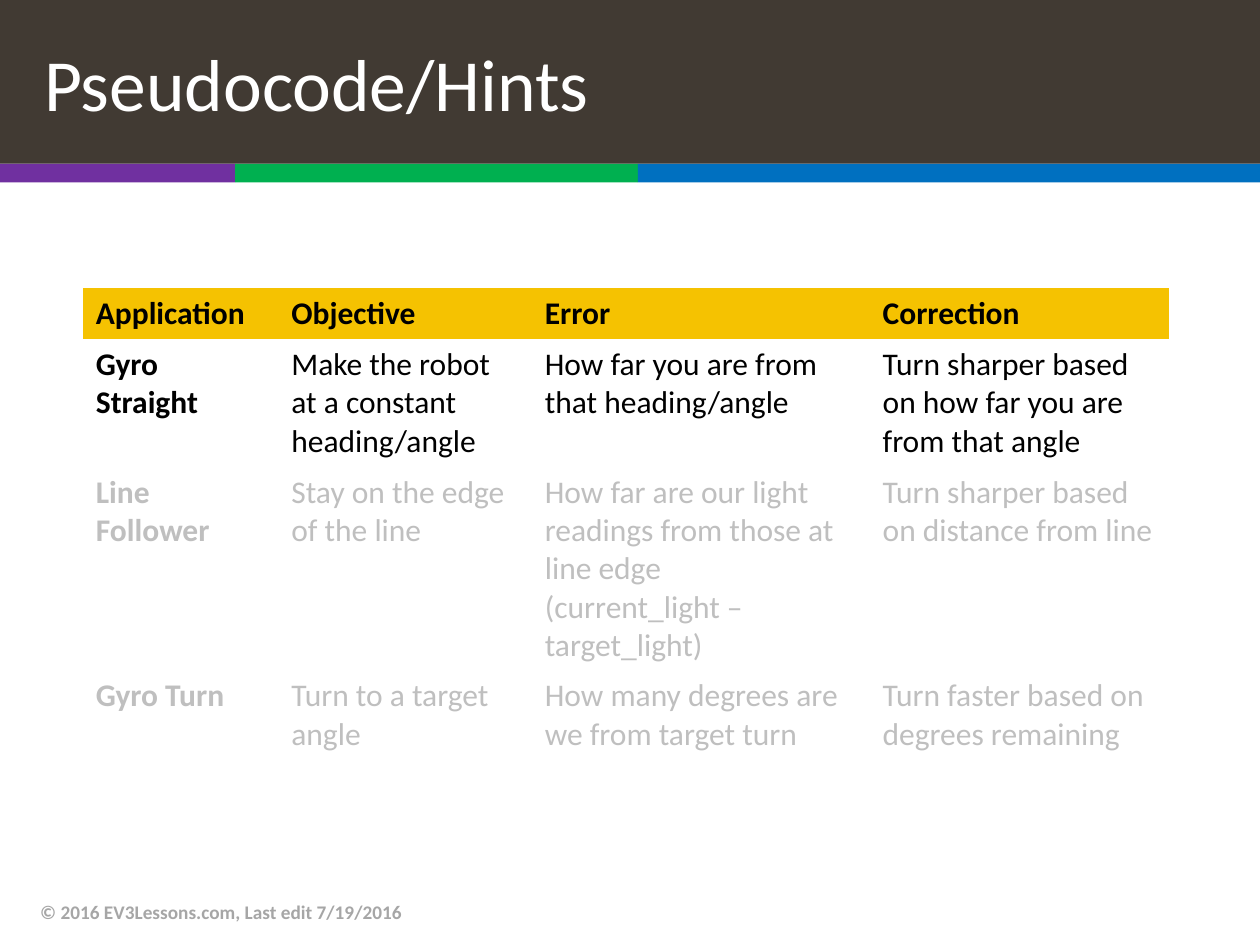
from pptx import Presentation
from pptx.dml.color import RGBColor
from pptx.enum.shapes import MSO_SHAPE
from pptx.enum.text import MSO_ANCHOR, PP_ALIGN
from pptx.util import Cm, Pt

RECT = MSO_SHAPE.RECTANGLE
MIDDLE = MSO_ANCHOR.MIDDLE
LEFT = PP_ALIGN.LEFT
FONT = "Calibri"
PLAIN = "{2D5ABB26-0587-4C30-8999-92F81FD0307C}"

COLORS = {
    "title": "413A33",
    "purple": "7030A0",
    "green": "00B050",
    "blue": "0070C0",
    "head": "F5C201",
    "white": "FFFFFF",
    "black": "000000",
    "faded": "BFBFBF",
    "footer": "A6A6A6",
}

ROWS = [
    ("Application", "Objective", "Error", "Correction"),
    ("Gyro Straight", "Make the robot at a constant heading/angle",
     "How far you are from that heading/angle",
     "Turn sharper based on how far you are from that angle"),
    ("Line Follower", "Stay on the edge of the line",
     "How far are our light readings from those at line edge"
     "\v(current_light – target_light)",
     "Turn sharper based on distance from line"),
    ("Gyro Turn", "Turn to a target angle",
     "How many degrees are we from target turn",
     "Turn faster based on degrees remaining"),
]


def color(name):
    return RGBColor.from_string(COLORS[name])


def style(frame, size, tint, bold=False):
    for para in frame.paragraphs:
        para.alignment = LEFT
        font = para.font
        font.name = FONT
        font.size = Pt(size)
        font.bold = bold
        font.color.rgb = color(tint)


def add_rect(slide, left, top, width, height, tint):
    rect = slide.shapes.add_shape(RECT, Cm(left), Cm(top), Cm(width), Cm(height))
    rect.shadow.inherit = False
    rect.fill.solid()
    rect.fill.fore_color.rgb = color(tint)
    rect.line.fill.background()
    return rect


def add_title(slide, left, top, width, height):
    frame = add_rect(slide, left, top, width, height, "title").text_frame
    frame.text = "Pseudocode/Hints"
    frame.margin_left = Cm(0.89)
    frame.vertical_anchor = MIDDLE
    style(frame, 42, "white")


def add_stripe(slide, left, top, width, height):
    parts = [("purple", 0, 4.74), ("green", 4.74, 12.86), ("blue", 12.86, width)]
    for tint, start, end in parts:
        add_rect(slide, left + start, top, end - start, height, tint)


def add_grid(slide, left, top, width, height):
    shape = slide.shapes.add_table(
        len(ROWS), len(ROWS[0]), Cm(left), Cm(top), Cm(width), Cm(height))
    table = shape.table
    table.horz_banding = False
    table._tbl.tblPr[0].text = PLAIN
    for col, size in zip(table.columns, (3.94, 5.11, 6.81, 6.02)):
        col.width = Cm(size)
    for row, size in zip(table.rows, (1.03, 2.58, 4.11, 1.7)):
        row.height = Cm(size)
    for r, texts in enumerate(ROWS):
        for c, text in enumerate(texts):
            cell = table.cell(r, c)
            cell.text = text
            if r == 0:
                cell.fill.solid()
                cell.fill.fore_color.rgb = color("head")
            else:
                cell.fill.background()
            style(cell.text_frame, 18, "black" if r < 2 else "faded",
                  r == 0 or c == 0)


def add_footer(slide, left, top, width, height):
    box = slide.shapes.add_textbox(Cm(left), Cm(top), Cm(width), Cm(height))
    frame = box.text_frame
    frame.word_wrap = True
    frame.vertical_anchor = MIDDLE
    frame.text = "© 2016 EV3Lessons.com, Last edit 7/19/2016"
    style(frame, 11, "footer", True)


def main():
    deck = Presentation()
    deck.slide_width = Cm(25.4)
    deck.slide_height = Cm(19.05)
    slide = deck.slides.add_slide(deck.slide_layouts[6])
    add_stripe(slide, 0, 3.3, 25.4, 0.38)
    add_footer(slide, 0.56, 17.88, 17.02, 1.02)
    add_title(slide, 0, 0, 25.4, 3.3)
    add_grid(slide, 1.68, 5.8, 21.88, 9.42)
    deck.save("out.pptx")


if __name__ == "__main__":
    main()
